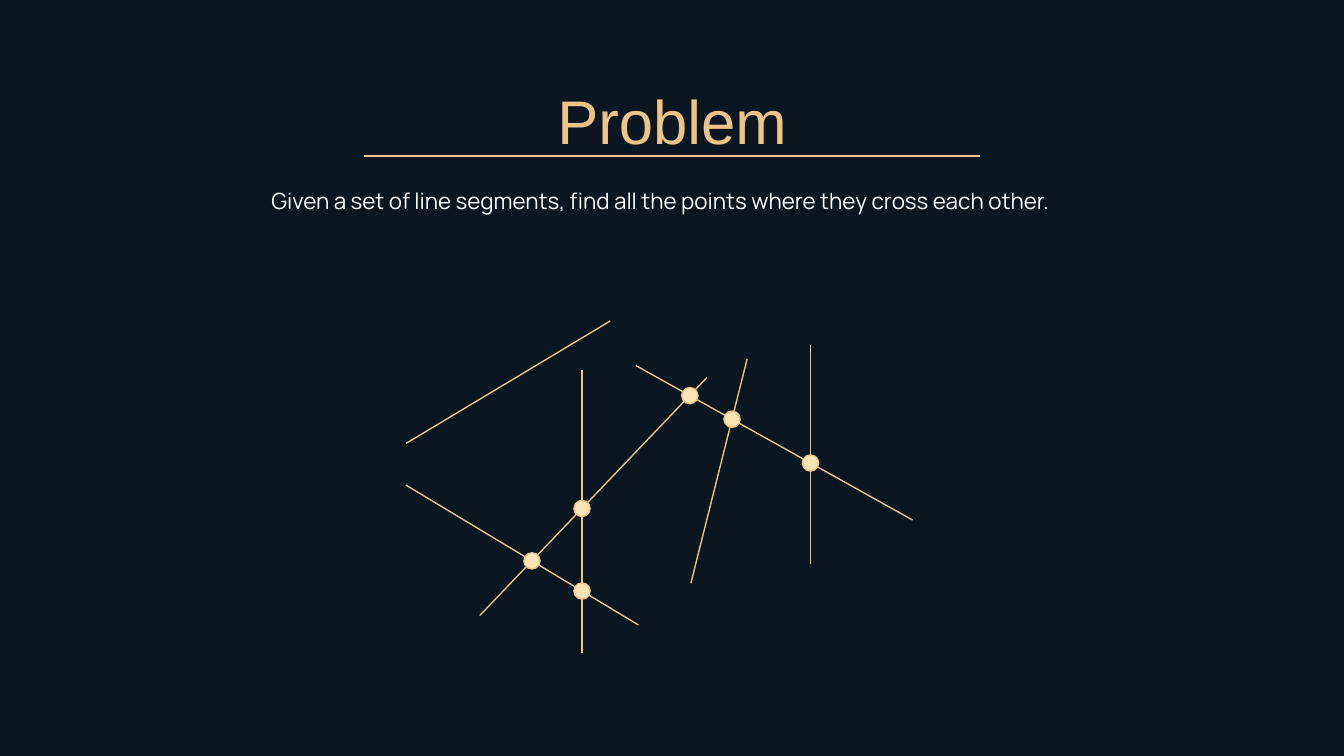
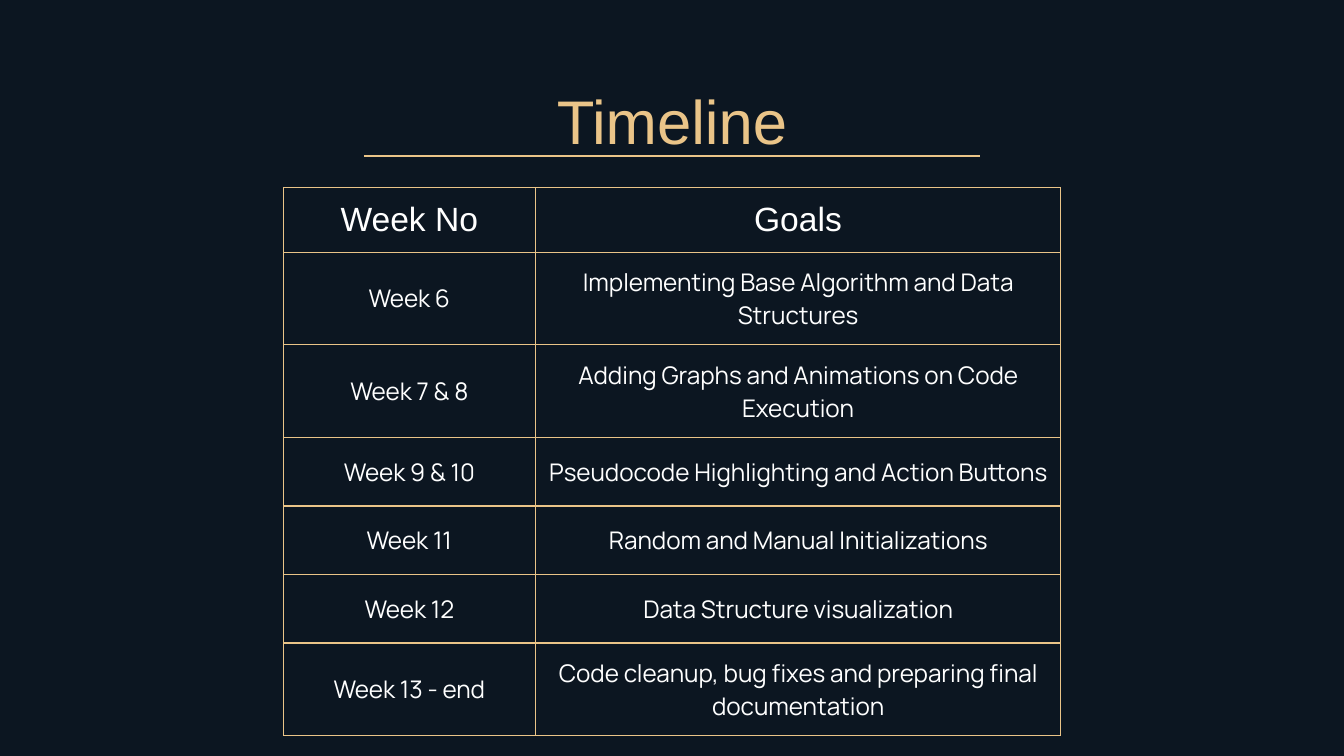
from itertools import combinations

from lxml import etree
from pptx import Presentation
from pptx import util as u
from pptx.dml.color import RGBColor
from pptx.enum import shapes, text
from pptx.oxml import ns

COLORS = {"night": "0C1621", "gold": "EAC488", "cream": "FBE4B4", "white": "FFFFFF"}
HEADING_FONT, BODY_FONT = "Arial", "Manrope"
LINE_WIDTH = 0.75
INSET = 7.2
DOT_SIZE = 8.7

# Boxes in points: left, top, width, height
TITLE_BOX = (56, 45.4, 608, 37.4)
STATEMENT_BOX = (138.3, 93, 442.8, 58.3)
DIAGRAM_BOX = (217.5, 172, 271.4, 178)
SCHEDULE_BOX = (151.8, 100.5, 416.5, 251.3)
RULE_WIDTH = 330

# Ends of each segment, measured from the corner of the diagram
SEGMENTS = [
    ((94.3, 177.9), (94.3, 26)),
    ((39.5, 157.8), (161.2, 30.3)),
    ((152.6, 140.5), (182.8, 20.2)),
    ((0, 87.9), (124.5, 162.8)),
    ((0, 65.6), (109.4, 0)),
    ((216.7, 13), (216.7, 130.4)),
    ((123.1, 23.8), (271.4, 106.6)),
]

COLUMN_WIDTHS = (135, 281.5)
ROW_HEIGHTS = (26, 36, 42.5, 36.7, 36.7, 36.7, 36.7)
SCHEDULE = [
    ("Week No", "Goals"),
    ("Week 6", "Implementing Base Algorithm and Data Structures"),
    ("Week 7 & 8", "Adding Graphs and Animations on Code Execution"),
    ("Week 9 & 10", "Pseudocode Highlighting and Action Buttons"),
    ("Week 11", "Random and Manual Initializations"),
    ("Week 12", "Data Structure visualization"),
    ("Week 13 - end", "Code cleanup, bug fixes and preparing final documentation"),
]


def color(name):
    return RGBColor.from_string(COLORS[name])


def points(box):
    return [u.Pt(length) for length in box]


def style_text(frame, font, size, tint, align):
    for paragraph in frame.paragraphs:
        paragraph.alignment = align
        for run in paragraph.runs:
            run.font.name = font
            run.font.size = u.Pt(size)
            run.font.color.rgb = color(tint)


def set_insets(holder):
    holder.margin_left = holder.margin_right = u.Pt(INSET)
    holder.margin_top = holder.margin_bottom = u.Pt(INSET)


def add_line(slide, start, end):
    line = slide.shapes.add_connector(
        shapes.MSO_CONNECTOR.STRAIGHT, *points((*start, *end)))
    line.line.color.rgb = color("gold")
    line.line.width = u.Pt(LINE_WIDTH)
    etree.SubElement(line._element.spPr, ns.qn("a:effectLst"))


def add_titled_slide(prs, heading, box):
    slide = prs.slides.add_slide(prs.slide_layouts[5])
    left, top, width, height = box

    # Rule under the title
    middle, rule_y = left + width / 2, top + height + 0.7
    add_line(slide, (middle - RULE_WIDTH / 2, rule_y), (middle + RULE_WIDTH / 2, rule_y))

    # Title
    title = slide.shapes.title
    title.left, title.top, title.width, title.height = points(box)
    frame = title.text_frame
    frame.text = heading
    frame.auto_size = text.MSO_AUTO_SIZE.NONE
    frame.vertical_anchor = text.MSO_ANCHOR.MIDDLE
    set_insets(frame)
    style_text(frame, HEADING_FONT, 33, "gold", text.PP_ALIGN.CENTER)
    return slide


def add_statement(slide, box):
    frame = slide.shapes.add_textbox(*points(box)).text_frame
    frame.word_wrap = True
    frame.auto_size = text.MSO_AUTO_SIZE.SHAPE_TO_FIT_TEXT
    set_insets(frame)
    frame.text = ("Given a set of line segments, find all the points "
                  "where they cross each other.")
    style_text(frame, BODY_FONT, 12, "white", text.PP_ALIGN.LEFT)


def crossing(first, second):
    """Return the point where two segments cross, or None."""
    (ax, ay), (bx, by) = first
    (cx, cy), (dx, dy) = second
    denominator = (bx - ax) * (dy - cy) - (by - ay) * (dx - cx)
    if denominator == 0:
        return None
    along_first = ((cx - ax) * (dy - cy) - (cy - ay) * (dx - cx)) / denominator
    along_second = ((cx - ax) * (by - ay) - (cy - ay) * (bx - ax)) / denominator
    if 0 <= along_first <= 1 and 0 <= along_second <= 1:
        return ax + along_first * (bx - ax), ay + along_first * (by - ay)
    return None


def add_segment_diagram(slide, box):
    left, top = box[:2]
    segments = [[(left + x, top + y) for x, y in ends] for ends in SEGMENTS]
    for start, end in segments:
        add_line(slide, start, end)

    # Dots where segments cross
    for first, second in combinations(segments, 2):
        point = crossing(first, second)
        if point is None:
            continue
        x, y = point
        dot = slide.shapes.add_shape(
            shapes.MSO_SHAPE.OVAL,
            *points((x - DOT_SIZE / 2, y - DOT_SIZE / 2, DOT_SIZE, DOT_SIZE)))
        dot.shadow.inherit = False
        dot.fill.solid()
        dot.fill.fore_color.rgb = color("cream")
        dot.line.color.rgb = color("gold")
        dot.line.width = u.Pt(LINE_WIDTH)


def add_borders(cell):
    properties = cell._tc.get_or_add_tcPr()
    for position, side in enumerate(("lnL", "lnR", "lnT", "lnB")):
        border = etree.Element(ns.qn(f"a:{side}"), w=str(u.Pt(LINE_WIDTH)))
        fill = etree.SubElement(border, ns.qn("a:solidFill"))
        etree.SubElement(fill, ns.qn("a:srgbClr"), val=COLORS["gold"])
        properties.insert(position, border)


def add_schedule(slide, box):
    table = slide.shapes.add_table(
        len(SCHEDULE), len(COLUMN_WIDTHS), *points(box)).table
    table.first_row = table.horz_banding = False
    for column, width in zip(table.columns, COLUMN_WIDTHS):
        column.width = u.Pt(width)
    for row, height in zip(table.rows, ROW_HEIGHTS):
        row.height = u.Pt(height)

    for row_index, entries in enumerate(SCHEDULE):
        font, size = (BODY_FONT, 13) if row_index else (HEADING_FONT, 18)
        for column_index, entry in enumerate(entries):
            cell = table.cell(row_index, column_index)
            cell.text_frame.text = entry
            cell.vertical_anchor = text.MSO_ANCHOR.MIDDLE
            set_insets(cell)
            cell.fill.background()
            add_borders(cell)
            style_text(cell.text_frame, font, size, "white", text.PP_ALIGN.CENTER)


def main():
    prs = Presentation()
    prs.slide_width, prs.slide_height = u.Pt(720), u.Pt(405)
    backdrop = prs.slide_master.background.fill
    backdrop.solid()
    backdrop.fore_color.rgb = color("night")

    problem = add_titled_slide(prs, "Problem", TITLE_BOX)
    add_statement(problem, STATEMENT_BOX)
    add_segment_diagram(problem, DIAGRAM_BOX)

    timeline = add_titled_slide(prs, "Timeline", TITLE_BOX)
    add_schedule(timeline, SCHEDULE_BOX)

    prs.save("out.pptx")


if __name__ == "__main__":
    main()
